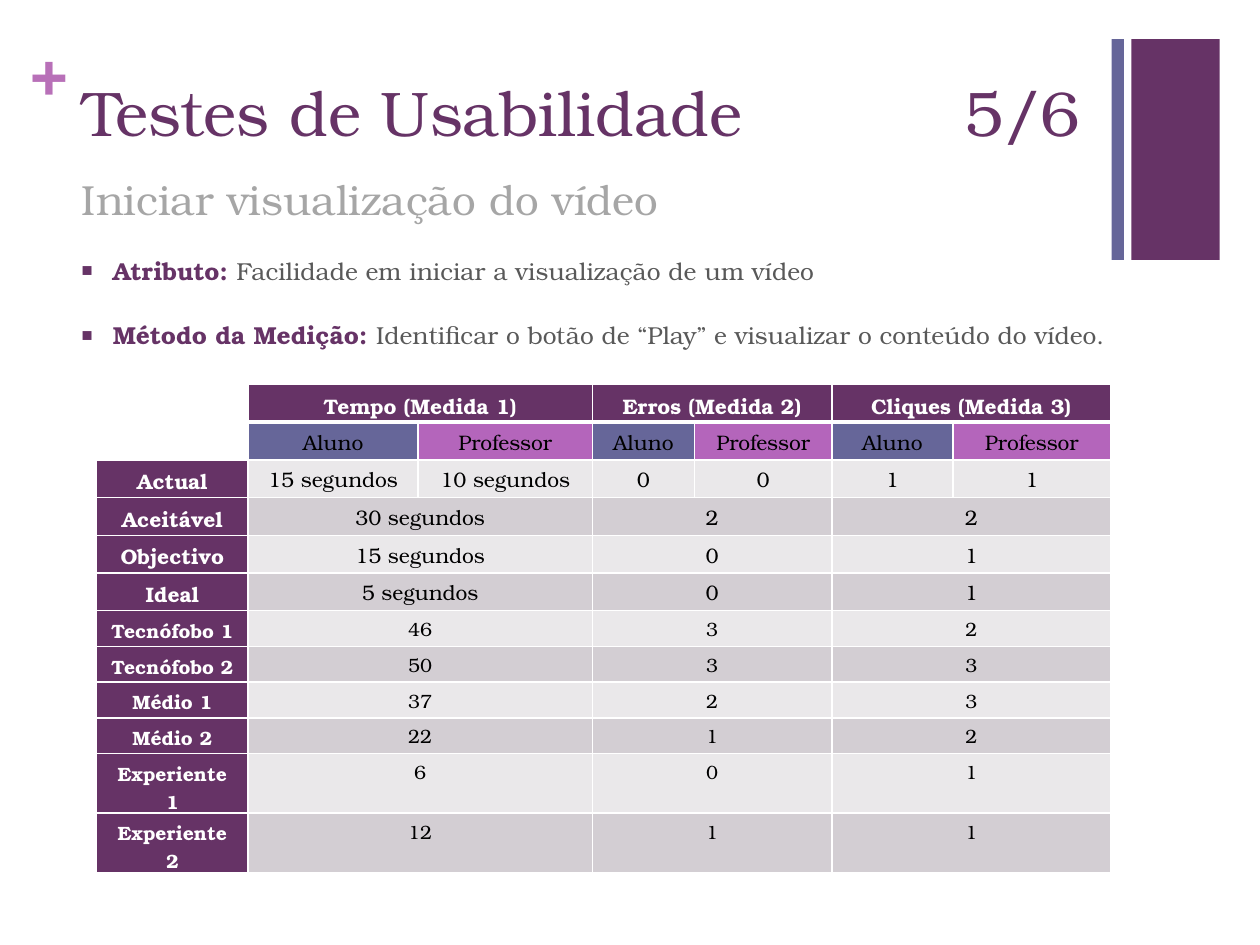
"""Builds the usability test slide with its table of measures."""
from typing import NamedTuple

from lxml import etree
from pptx import Presentation
from pptx.dml.color import RGBColor
from pptx.enum.shapes import MSO_SHAPE
from pptx.enum.text import MSO_ANCHOR, MSO_AUTO_SIZE, PP_ALIGN
from pptx.oxml.ns import qn
from pptx.util import Cm, Pt

RECTANGLE = MSO_SHAPE.RECTANGLE
TOP = MSO_ANCHOR.TOP
NO_AUTOFIT = MSO_AUTO_SIZE.NONE
LEFT, CENTER = PP_ALIGN.LEFT, PP_ALIGN.CENTER

FONT = "TeX Gyre Bonum"
PURPLE, BLUE, PINK = "663366", "666699", "B465BB"
WHITE, BLACK = "FFFFFF", "000000"
BANDS = ("EAE8EA", "D3CED3")
COLUMN_WIDTHS = (3.05, 3.43, 3.51, 2.06, 2.77, 2.44, 3.18)
MEASURES = ("Tempo (Medida 1)", "Erros (Medida 2)", "Cliques (Medida 3)")
ROLES = (("Aluno", BLUE), ("Professor", PINK))


class Box(NamedTuple):
    left: float
    top: float
    width: float
    height: float


class Bar(NamedTuple):
    box: Box
    color: str


class Bullet(NamedTuple):
    label: str
    text: str


class Result(NamedTuple):
    label: str
    values: tuple
    size: int = 11
    height: float = 0.72


BARS = (
    Bar(Box(22.81, 0.79, 1.78, 4.45), PURPLE),
    Bar(Box(22.41, 0.79, 0.25, 4.45), BLUE),
)
BULLETS = (
    Bullet("Atributo: ", "Facilidade em iniciar a visualização de um vídeo"),
    Bullet("Método da Medição: ",
           "Identificar o botão de “Play” e visualizar o conteúdo do vídeo."),
)
RESULTS = (
    Result("Actual", ("15 segundos", "10 segundos", "0", "0", "1", "1"), 12, 0.76),
    Result("Aceitável", ("30 segundos", "2", "2"), 12, 0.76),
    Result("Objectivo", ("15 segundos", "0", "1"), 12, 0.76),
    Result("Ideal", ("5 segundos", "0", "1"), 12, 0.76),
    Result("Tecnófobo 1", ("46", "3", "2")),
    Result("Tecnófobo 2", ("50", "3", "3")),
    Result("Médio 1", ("37", "2", "3")),
    Result("Médio 2", ("22", "1", "2")),
    Result("Experiente 1", ("6", "0", "1"), height=1.2),
    Result("Experiente 2", ("12", "1", "1"), height=1.2),
)


def rgb(color: str) -> RGBColor:
    return RGBColor.from_string(color)


def lengths(box: Box) -> list:
    return [Cm(value) for value in box]


def style_font(font, size: int, color: str, bold: bool = False) -> None:
    font.name, font.size, font.bold = FONT, Pt(size), bold
    font.color.rgb = rgb(color)


def place(shape, box: Box) -> None:
    shape.left, shape.top, shape.width, shape.height = lengths(box)
    frame = shape.text_frame
    frame.vertical_anchor, frame.auto_size, frame.word_wrap = TOP, NO_AUTOFIT, True


def write(shape, text: str, size: int, color: str, bold: bool = False) -> None:
    shape.text_frame.text = text
    paragraph = shape.text_frame.paragraphs[0]
    paragraph.alignment = LEFT
    paragraph._p.get_or_add_pPr().set("defTabSz", str(Cm(2.54)))
    style_font(paragraph.font, size, color, bold)


def add_bar(slide, bar: Bar) -> None:
    shape = slide.shapes.add_shape(RECTANGLE, *lengths(bar.box))
    shape.shadow.inherit = False
    shape.fill.solid()
    shape.fill.fore_color.rgb = rgb(bar.color)
    shape.line.fill.background()


def add_plus(slide) -> None:
    shape = slide.shapes.add_textbox(*lengths(Box(0.61, 0.64, 0.74, 1.55)))
    frame = shape.text_frame
    frame.margin_left = frame.margin_top = frame.margin_right = frame.margin_bottom = 0
    write(shape, "+", 36, "B870B8", True)


def write_bullet(paragraph, bullet: Bullet) -> None:
    paragraph.space_before = Pt(20)
    paragraph.font.size = Pt(14)
    for text, color, bold in ((bullet.label, PURPLE, True), (bullet.text, "595959", False)):
        run = paragraph.add_run()
        run.text = text
        style_font(run.font, 14, color, bold)
    properties = paragraph._p.get_or_add_pPr()
    properties.set("marL", str(Cm(0.63)))
    properties.set("indent", str(Cm(-0.63)))
    marks = [etree.Element(qn(tag)) for tag in ("a:buClr", "a:buSzPct", "a:buChar")]
    etree.SubElement(marks[0], qn("a:srgbClr"), val=PURPLE)
    marks[1].set("val", "75000")
    marks[2].set("char", "■")
    position = len(properties.findall(qn("a:spcBef")))
    properties[position:position] = marks


def set_borders(cell, top: int, bottom: int) -> None:
    properties = cell._tc.get_or_add_tcPr()
    sides = (("L", 1), ("R", 1), ("T", top), ("B", bottom))
    for position, (side, width) in enumerate(sides):
        line = etree.Element(qn(f"a:ln{side}"), w=str(Pt(width)))
        fill = etree.SubElement(line, qn("a:solidFill"))
        etree.SubElement(fill, qn("a:srgbClr"), val=WHITE)
        properties.insert(position, line)


def fill_cell(cell, text: str, size: int, fill: str, color: str = BLACK,
              bold: bool = False) -> None:
    cell.text = text
    cell.fill.solid()
    cell.fill.fore_color.rgb = rgb(fill)
    paragraph = cell.text_frame.paragraphs[0]
    paragraph.alignment, paragraph.line_spacing = CENTER, 1.0
    style_font(paragraph.font, size, color, bold)


def add_results_table(slide) -> None:
    heights = [0.76, 0.76] + [result.height for result in RESULTS]
    box = Box(1.95, 7.75, sum(COLUMN_WIDTHS), sum(heights))
    table = slide.shapes.add_table(
        len(heights), len(COLUMN_WIDTHS), *lengths(box)).table
    table.first_row = table.horz_banding = False
    for column, width in zip(table.columns, COLUMN_WIDTHS):
        column.width = Cm(width)
    for index, (row, height) in enumerate(zip(table.rows, heights)):
        row.height = Cm(height)
        for cell in row.cells:
            cell.margin_top, cell.margin_bottom = Cm(0.11), 0
            cell.fill.background()
            cell.text_frame.paragraphs[0].font.size = Pt(11)
            set_borders(cell, 3 if index == 1 else 1, 3 if index == 0 else 1)

    for group, measure in enumerate(MEASURES):
        first = 1 + 2 * group
        table.cell(0, first).merge(table.cell(0, first + 1))
        fill_cell(table.cell(0, first), measure, 12, PURPLE, WHITE, True)
        for offset, (role, color) in enumerate(ROLES):
            fill_cell(table.cell(1, first + offset), role, 12, color)

    for index, result in enumerate(RESULTS):
        row = index + 2
        fill_cell(table.cell(row, 0), result.label, result.size, PURPLE, WHITE, True)
        step = 6 // len(result.values)
        for position, value in enumerate(result.values):
            cell = table.cell(row, 1 + step * position)
            if step > 1:
                cell.merge(table.cell(row, step * (position + 1)))
            fill_cell(cell, value, result.size, BANDS[index % 2])


def main() -> None:
    presentation = Presentation()
    presentation.slide_width, presentation.slide_height = Cm(25.4), Cm(19.05)
    slide = presentation.slides.add_slide(presentation.slide_layouts[1])
    title, body = slide.placeholders
    for bar in BARS:
        add_bar(slide, bar)
    add_plus(slide)

    place(title, Box(1.4, 1.35, 20.98, 3.1))
    write(title, "Testes de Usabilidade \t\t5/6", 36, PURPLE)
    subtitle_box = Box(1.4, 3.38, 20.98, 2.34)
    subtitle = slide.shapes.add_textbox(*lengths(subtitle_box))
    place(subtitle, subtitle_box)
    write(subtitle, "Iniciar visualização do vídeo", 24, "A6A6A6")

    place(body, Box(1.39, 5.03, 22.86, 6.93))
    frame = body.text_frame
    for index, bullet in enumerate(BULLETS):
        write_bullet(frame.add_paragraph() if index else frame.paragraphs[0], bullet)
    add_results_table(slide)
    presentation.save("out.pptx")


if __name__ == "__main__":
    main()
